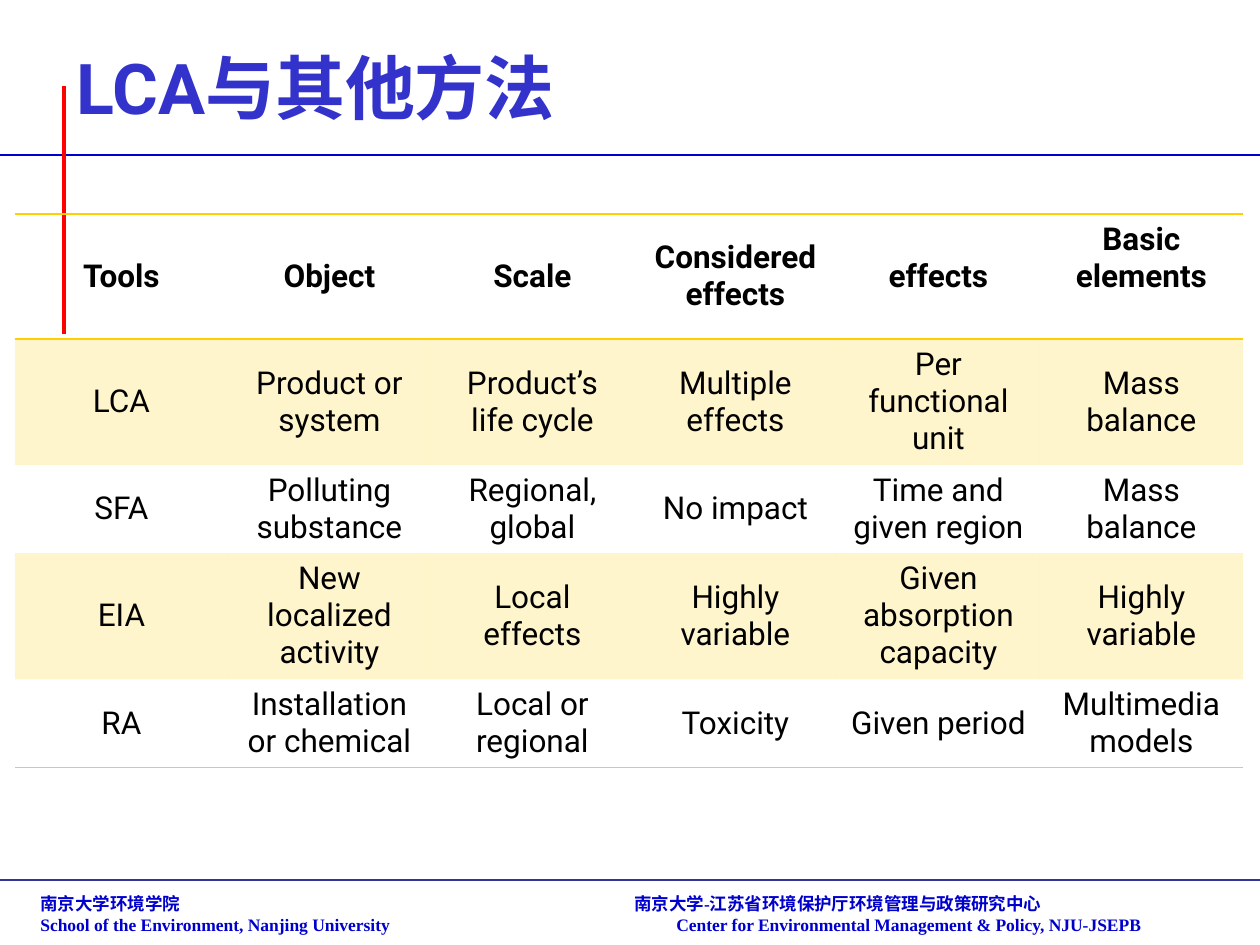
from dataclasses import dataclass

from lxml.etree import SubElement
from pptx import Presentation
from pptx.dml.color import RGBColor
from pptx.enum.shapes import MSO_CONNECTOR as Connector
from pptx.enum.text import MSO_ANCHOR as Anchor, MSO_AUTO_SIZE as AutoSize, PP_ALIGN as Align
from pptx.oxml.ns import qn
from pptx.util import Emu, Pt

PX_PER_INCH = 126
GOLD = "FFCF01"
NAVY = "0000CC"
NO_STYLE = "{2D5ABB26-0587-4C30-8999-92F81FD0307C}"
HEADER_ROW = 0
BANDED_ROWS = (1, 3)

COLUMN_WIDTHS = [213] + [203] * 5
ROW_HEIGHTS = [124, 123, 87, 123, 87]
ROWS = [
    ["Tools", "Object", "Scale", "Considered effects", "effects", "Basic elements"],
    ["LCA", "Product or system", "Product’s life cycle", "Multiple effects",
     "Per functional unit", "Mass balance"],
    ["SFA", "Polluting substance", "Regional, global", "No impact",
     "Time and given region", "Mass balance"],
    ["EIA", "New localized activity", "Local effects", "Highly variable",
     "Given absorption capacity", "Highly variable"],
    ["RA", "Installation or chemical", "Local or regional", "Toxicity",
     "Given period", "Multimedia models"],
]


@dataclass
class Rule:
    start: tuple[int, int]
    end: tuple[int, int]
    color: str
    points: float


@dataclass
class FooterLine:
    left_text: str
    right_text: str
    tab: int


RULES = [
    Rule((0, 880), (1260, 880), "333399", 1),
    Rule((0, 155), (1260, 155), NAVY, 1.5),
    Rule((64, 86), (64, 334), "FF0000", 2.25),
]
FOOTER = [
    FooterLine("南京大学环境学院", "南京大学-江苏省环境保护厅环境管理与政策研究中心", 594),
    FooterLine("School of the Environment, Nanjing University",
               "Center for Environmental Management & Policy, NJU-JSEPB", 636),
]


def px(length: int) -> Emu:
    return Emu(round(length * 914400 / PX_PER_INCH))


def rgb(color: str) -> RGBColor:
    return RGBColor.from_string(color)


def format_font(paragraph, name: str, size: int, color: str, bold: bool) -> None:
    font = paragraph.font
    font.name, font.size, font.bold = name, Pt(size), bold
    font.color.rgb = rgb(color)


def add_rule(slide, rule: Rule) -> None:
    line = slide.shapes.add_connector(
        Connector.STRAIGHT, *map(px, rule.start), *map(px, rule.end))
    line.line.color.rgb = rgb(rule.color)
    line.line.width = Pt(rule.points)
    SubElement(line._element.spPr, qn("a:effectLst"))


def add_footer(slide, lines: list[FooterLine]) -> None:
    frame = slide.shapes.add_textbox(px(28), px(887), px(1206), px(54)).text_frame
    frame.word_wrap = True
    for index, line in enumerate(lines):
        paragraph = frame.add_paragraph() if index else frame.paragraphs[0]
        paragraph.text = f"{line.left_text}\t{line.right_text}"
        format_font(paragraph, "Times New Roman", 10, NAVY, True)
        properties = paragraph._p.get_or_add_pPr()
        tabs = properties.makeelement(qn("a:tabLst"), {})
        SubElement(tabs, qn("a:tab"), pos=str(px(line.tab)), algn="l")
        properties.insert(0, tabs)


def format_title(slide) -> None:
    title = slide.shapes.title
    title.left, title.top, title.width, title.height = map(px, (64, 38, 1131, 97))
    frame = title.text_frame
    frame.text = "LCA与其他方法"
    frame.auto_size = AutoSize.NONE
    frame.vertical_anchor = Anchor.BOTTOM
    frame.paragraphs[0].alignment = Align.LEFT
    format_font(frame.paragraphs[0], "Roboto", 40, "3333CC", True)


def add_border(cell, side: str) -> None:
    """Draw a gold border; side is the XML name lnT or lnB."""
    border = SubElement(cell._tc.get_or_add_tcPr(), qn(f"a:{side}"), w=str(Pt(1)))
    fill = SubElement(border, qn("a:solidFill"))
    SubElement(fill, qn("a:srgbClr"), val=GOLD)


def fill_band(cell) -> None:
    """Fill with gold at 20 percent opacity."""
    cell.fill.solid()
    cell.fill.fore_color.rgb = rgb(GOLD)
    color = cell._tc.tcPr.find(f"{qn('a:solidFill')}/{qn('a:srgbClr')}")
    SubElement(color, qn("a:alpha"), val="20000")


def format_cell(cell, text: str, row: int) -> None:
    cell.text = text
    cell.vertical_anchor = Anchor.MIDDLE
    paragraph = cell.text_frame.paragraphs[0]
    paragraph.alignment = Align.CENTER
    format_font(paragraph, "Roboto", 18, "000000", row == HEADER_ROW)
    if row == HEADER_ROW:
        add_border(cell, "lnT")
    if row in (HEADER_ROW, len(ROWS) - 1):
        add_border(cell, "lnB")
    if row in BANDED_ROWS:
        fill_band(cell)
    else:
        cell.fill.background()


def add_comparison_table(slide) -> None:
    table = slide.shapes.add_table(
        len(ROWS), len(COLUMN_WIDTHS), px(15), px(214),
        px(sum(COLUMN_WIDTHS)), px(sum(ROW_HEIGHTS))).table
    table.first_row = table.horz_banding = False
    table._tbl.tblPr.find(qn("a:tableStyleId")).text = NO_STYLE
    for column, width in zip(table.columns, COLUMN_WIDTHS):
        column.width = px(width)
    for row, (texts, height) in enumerate(zip(ROWS, ROW_HEIGHTS)):
        table.rows[row].height = px(height)
        for column, text in enumerate(texts):
            format_cell(table.cell(row, column), text, row)
    # The last heading sits one half line above the others.
    table.cell(HEADER_ROW, len(COLUMN_WIDTHS) - 1).margin_bottom = px(43)


def main() -> None:
    presentation = Presentation()
    presentation.slide_width, presentation.slide_height = px(1260), px(945)
    slide = presentation.slides.add_slide(presentation.slide_layouts[5])
    add_footer(slide, FOOTER)
    for rule in RULES:
        add_rule(slide, rule)
    format_title(slide)
    add_comparison_table(slide)
    presentation.save("out.pptx")


if __name__ == "__main__":
    main()
